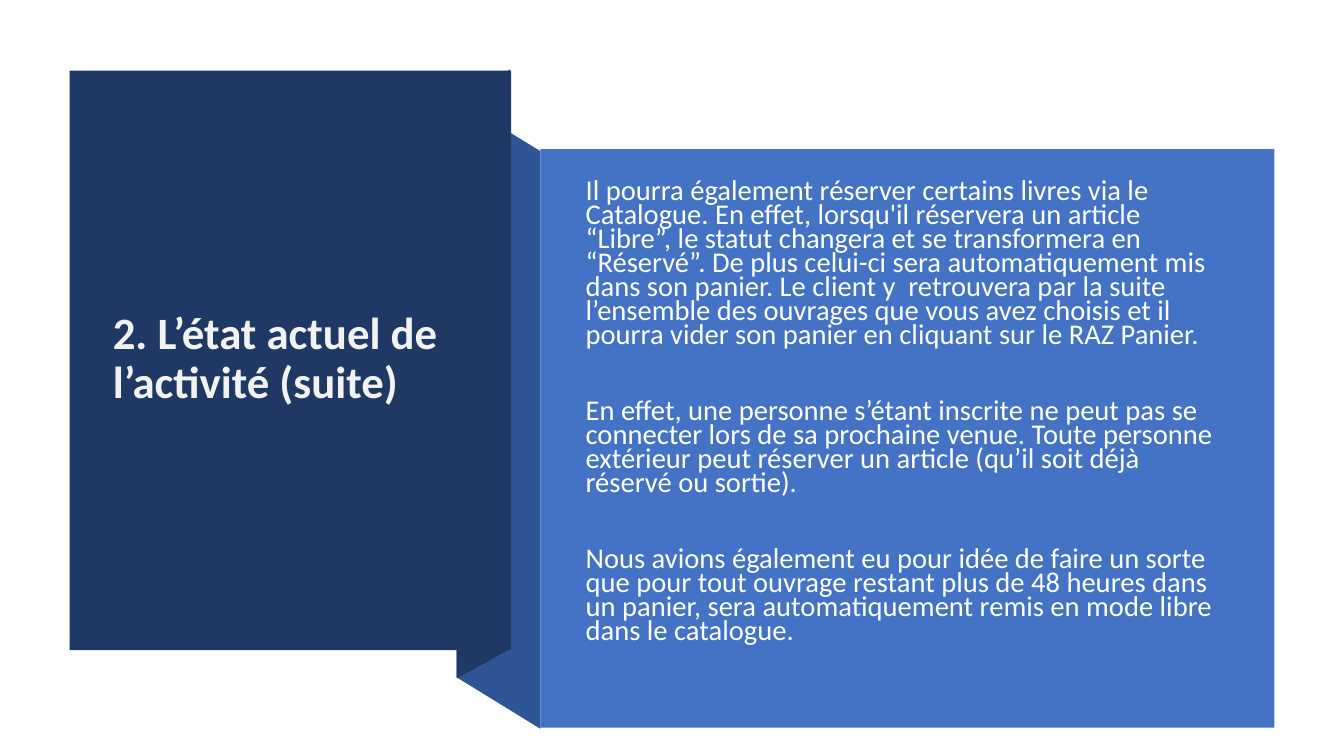
from pptx import Presentation
from pptx.dml.color import RGBColor
from pptx.enum.shapes import MSO_SHAPE
from pptx.enum.text import MSO_ANCHOR, PP_ALIGN
from pptx.util import Pt

EMU_PER_PX = 9144
NAVY = RGBColor(0x20, 0x38, 0x64)
FOLD_BLUE = RGBColor(0x2F, 0x55, 0x97)
PANEL_BLUE = RGBColor(0x44, 0x72, 0xC4)
TITLE_WHITE = RGBColor(0xF2, 0xF2, 0xF2)
BODY_WHITE = RGBColor(0xFE, 0xFF, 0xFF)

TITLE = "2. L’état actuel de l’activité (suite)"
BODY = [
    "Il pourra également réserver certains livres via le Catalogue. En effet, "
    "lorsqu'il réservera un article “Libre”, le statut changera et se transformera "
    "en “Réservé”. De plus celui-ci sera automatiquement mis dans son panier. "
    "Le client y  retrouvera par la suite l’ensemble des ouvrages que vous avez "
    "choisis et il pourra vider son panier en cliquant sur le RAZ Panier.",
    "En effet, une personne s’étant inscrite ne peut pas se connecter lors de sa "
    "prochaine venue. Toute personne extérieur peut réserver un article (qu’il soit "
    "déjà réservé ou sortie).",
    "Nous avions également eu pour idée de faire un sorte que pour tout ouvrage "
    "restant plus de 48 heures dans un panier, sera automatiquement remis en mode "
    "libre dans le catalogue.",
]


class SlideBuilder:
    """Holds the font and current slide, and draws elements given in px."""

    def __init__(self, slide, font_name):
        self.slide = slide
        self.font_name = font_name

    def px(self, *lengths):
        return [length * EMU_PER_PX for length in lengths]

    def paint(self, shape, color):
        shape.shadow.inherit = False
        shape.fill.solid()
        shape.fill.fore_color.rgb = color
        shape.line.fill.background()

    def rectangle(self, box, color):
        shape = self.slide.shapes.add_shape(MSO_SHAPE.RECTANGLE, *self.px(*box))
        self.paint(shape, color)

    def polygon(self, points, color):
        builder = self.slide.shapes.build_freeform(*points[0], scale=EMU_PER_PX)
        builder.add_line_segments(points[1:], close=True)
        self.paint(builder.convert_to_shape(), color)

    def text(self, box, paragraphs, size, color, line_spacing, first_gap=0, gap=0, bold=False):
        shape = self.slide.shapes.add_textbox(*self.px(*box))
        text_frame = shape.text_frame
        text_frame.word_wrap = True
        text_frame.vertical_anchor = MSO_ANCHOR.MIDDLE
        text_frame.text = "\n".join(paragraphs)
        for index, paragraph in enumerate(text_frame.paragraphs):
            paragraph.alignment = PP_ALIGN.LEFT
            paragraph.line_spacing = line_spacing
            paragraph.space_before = Pt(gap if index else first_gap)
            for run in paragraph.runs:
                run.font.name = self.font_name
                run.font.size = Pt(size)
                run.font.bold = bold
                run.font.color.rgb = color


def main():
    presentation = Presentation()
    presentation.slide_width = 1333 * EMU_PER_PX
    presentation.slide_height = 750 * EMU_PER_PX
    slide = presentation.slides.add_slide(presentation.slide_layouts[6])
    builder = SlideBuilder(slide, "Calibri")

    builder.polygon([(536, 723), (453, 672), (453, 99), (536, 150)], FOLD_BLUE)
    builder.polygon([(506, 644), (453, 673), (453, 98), (506, 69)], NAVY)
    builder.rectangle((69, 70, 438, 575), NAVY)
    builder.text((102, 107, 371, 499), [TITLE], 32, TITLE_WHITE, 0.9, bold=True)
    builder.rectangle((536, 148, 728, 574), PANEL_BLUE)
    builder.text((571, 160, 651, 500), BODY, 20.4, BODY_WHITE, 0.7, first_gap=10, gap=37)

    presentation.save("out.pptx")


if __name__ == "__main__":
    main()
